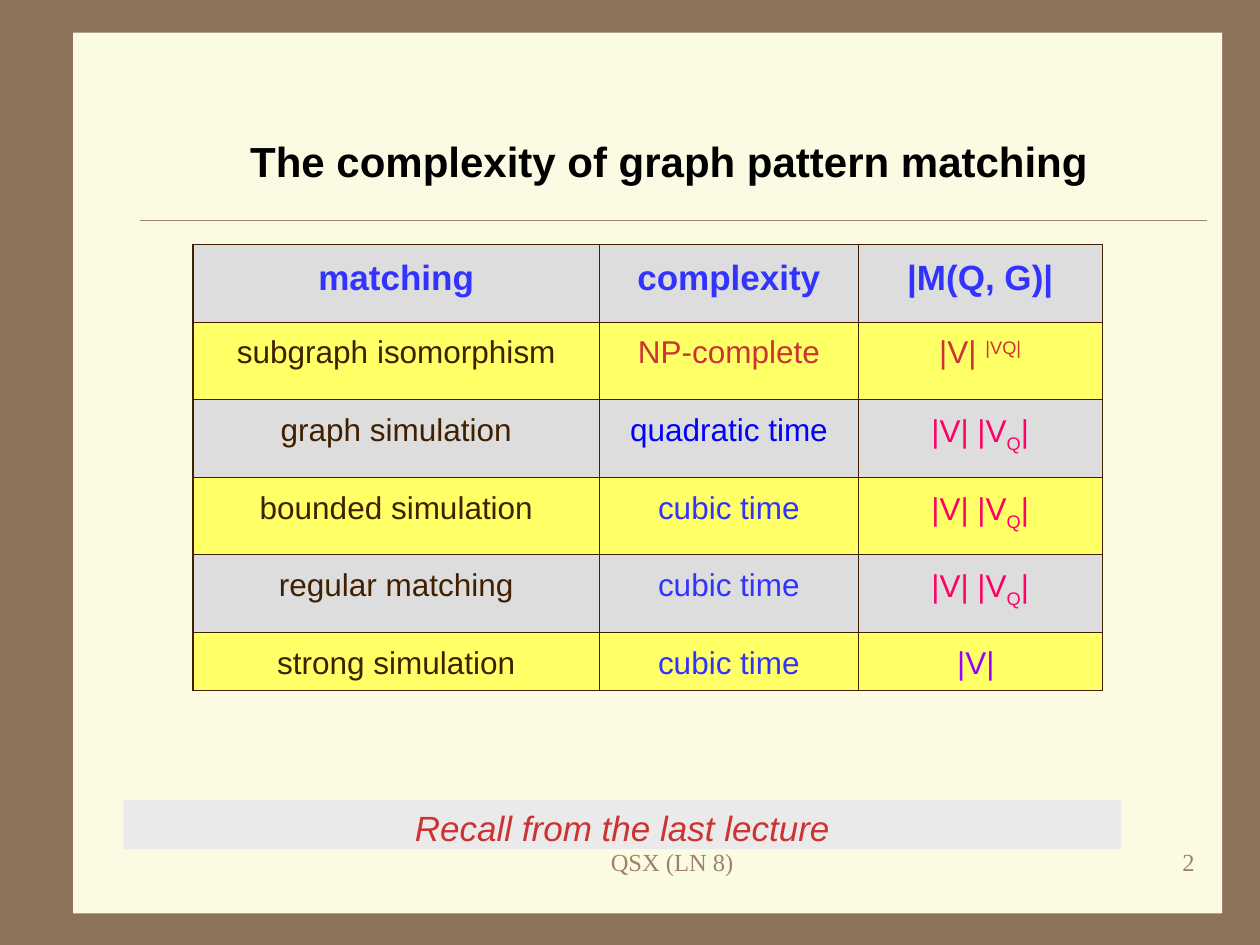
from lxml import etree
from pptx import Presentation
from pptx.dml.color import RGBColor
from pptx.enum.shapes import MSO_CONNECTOR, MSO_SHAPE
from pptx.enum.text import MSO_ANCHOR, PP_ALIGN
from pptx.oxml.ns import qn
from pptx.util import Inches, Pt

CENTER, RIGHT = PP_ALIGN.CENTER, PP_ALIGN.RIGHT
TOP, MIDDLE = MSO_ANCHOR.TOP, MSO_ANCHOR.MIDDLE
RECT, STRAIGHT = MSO_SHAPE.RECTANGLE, MSO_CONNECTOR.STRAIGHT

BROWN = RGBColor(0x8C, 0x73, 0x5A)
CREAM = RGBColor(0xFB, 0xFA, 0xE2)
TAN = RGBColor(0xA0, 0x83, 0x66)
DARK = RGBColor(0x40, 0x20, 0x00)
BLACK = RGBColor(0x00, 0x00, 0x00)
GREY = RGBColor(0xDD, 0xDD, 0xDD)
PALE = RGBColor(0xEA, 0xEA, 0xEA)
YELLOW = RGBColor(0xFF, 0xFF, 0x66)
RED = RGBColor(0xCD, 0x33, 0x33)
PINK = RGBColor(0xFF, 0x00, 0x66)
SKY = RGBColor(0x33, 0x33, 0xFF)
BLUE = RGBColor(0x00, 0x00, 0xFF)
VIOLET = RGBColor(0x99, 0x00, 0xFF)

COLS, ROWS = 100, 75
WIDE, HIGH = Inches(10), Inches(7.5)
SANS, SERIF = "Arial", "Times New Roman"

# Each cell holds its runs and its colour; a run is text, or text and baseline.
PAIR = (["|V| |V", ("Q", -25), "|"], PINK)
CUBIC = (["cubic time"], SKY)
HEAD = [([name], SKY) for name in ("matching", "complexity", "|M(Q, G)|")]
BODY = [
    [(["subgraph isomorphism"], DARK), (["NP-complete"], RED),
     (["|V| ", ("|VQ|", 30)], RED)],
    [(["graph simulation"], DARK), (["quadratic time"], BLUE), PAIR],
    [(["bounded simulation"], DARK), CUBIC, PAIR],
    [(["regular matching"], DARK), CUBIC, PAIR],
    [(["strong simulation"], DARK), CUBIC, (["|V| "], VIOLET)],
]


def write(frame, runs, size=18, font=SANS, color=DARK, bold=False,
          italic=False, align=CENTER, anchor=TOP, lead=None):
    """Fill a text frame with one paragraph of runs."""
    frame.word_wrap = True
    frame.vertical_anchor = anchor
    para = frame.paragraphs[0]
    para.alignment = align
    para.space_before = Pt(0)
    para.line_spacing = lead
    for item in runs:
        text, base = (item, 0) if isinstance(item, str) else item
        run = para.add_run()
        run.text = text
        run.font.name, run.font.size = font, Pt(size)
        run.font.bold, run.font.italic = bold, italic
        run.font.color.rgb = color
        if base:
            run.font._element.set("baseline", str(base * 1000))


def edge(cell, side, width):
    """Draw one border of a cell; the side is L, R, T or B."""
    props = cell._tc.get_or_add_tcPr()
    line = etree.SubElement(props, qn("a:ln" + side), w=str(Pt(width)))
    fill = etree.SubElement(line, qn("a:solidFill"))
    etree.SubElement(fill, qn("a:srgbClr"), val=str(DARK))


class Page:
    """A slide on a grid of COLS by ROWS units."""

    thick, thin = 1.08, 0.45

    def __init__(self, deck):
        self.slide = deck.slides.add_slide(deck.slide_layouts[5])
        self.shapes = self.slide.shapes
        fill = self.slide.background.fill
        fill.solid()
        fill.fore_color.rgb = BROWN

    def grid(self, *units):
        """Turn x, y, x, y ... in grid units into lengths."""
        steps = (WIDE / COLS, HIGH / ROWS)
        return [round(unit * steps[i % 2]) for i, unit in enumerate(units)]

    def panel(self, place, color):
        shape = self.shapes.add_shape(RECT, *self.grid(*place))
        shape.shadow.inherit = False
        shape.fill.solid()
        shape.fill.fore_color.rgb = color
        shape.line.fill.background()
        return shape

    def rule(self, ends, color, width):
        line = self.shapes.add_connector(STRAIGHT, *self.grid(*ends))
        line.line.color.rgb = color
        line.line.width = Pt(width)
        etree.SubElement(line._element.spPr, qn("a:effectLst"))

    def title(self, place, text, **style):
        shape = self.shapes.title
        shape.left, shape.top, shape.width, shape.height = self.grid(*place)
        write(shape.text_frame, [text], **style)

    def label(self, place, text, **style):
        box = self.shapes.add_textbox(*self.grid(*place))
        write(box.text_frame, [text], **style)

    def table(self, place, widths, heights, data):
        last, end = len(data) - 1, len(widths) - 1
        frame = self.shapes.add_table(last + 1, end + 1, *self.grid(*place))
        table = frame.table
        for col, width in zip(table.columns, widths):
            col.width = self.grid(width)[0]
        for row, height in zip(table.rows, heights):
            row.height = self.grid(0, height)[1]
        for r, line in enumerate(data):
            for c, (runs, color) in enumerate(line):
                cell = table.cell(r, c)
                outer = {"L": c == 0, "R": c == end,
                         "T": r == 0, "B": r == last}
                for side, out in outer.items():
                    edge(cell, side, self.thick if out else self.thin)
                cell.fill.solid()
                cell.fill.fore_color.rgb = YELLOW if r % 2 else GREY
                write(cell.text_frame, runs, color=color, lead=1.2,
                      size=18 if r else 20, bold=r == 0)


def main():
    deck = Presentation()
    deck.slide_width, deck.slide_height = WIDE, HIGH
    page = Page(deck)

    page.panel((5.8, 2.6, 91.2, 69.9), CREAM)
    page.rule((11.1, 17.5, 95.8, 17.5), TAN, 0.25)
    # Keep the title above the panel in the stacking order.
    page.shapes._spTree.append(page.shapes.title._element)
    page.title((10.6, 8.4, 85, 8.7), "The complexity of graph pattern matching",
               size=24, color=BLACK, bold=True, anchor=MIDDLE)

    foot = {"size": 14, "font": SERIF, "color": TAN}
    page.label((37.5, 66.7, 31.7, 5), "QSX (LN 8)", **foot)
    page.label((75, 66.7, 20.8, 5), "2", align=RIGHT, **foot)

    page.table((15.3, 19.4, 72.2, 35.4), (32.3, 20.5, 19.4),
               [6.16] * 5 + [4.6], [HEAD] + BODY)

    note = page.panel((9.8, 63.5, 79.2, 3.9), PALE)
    write(note.text_frame, ["Recall from the last lecture"],
          size=20, color=RED, italic=True)

    deck.save("out.pptx")


if __name__ == "__main__":
    main()
